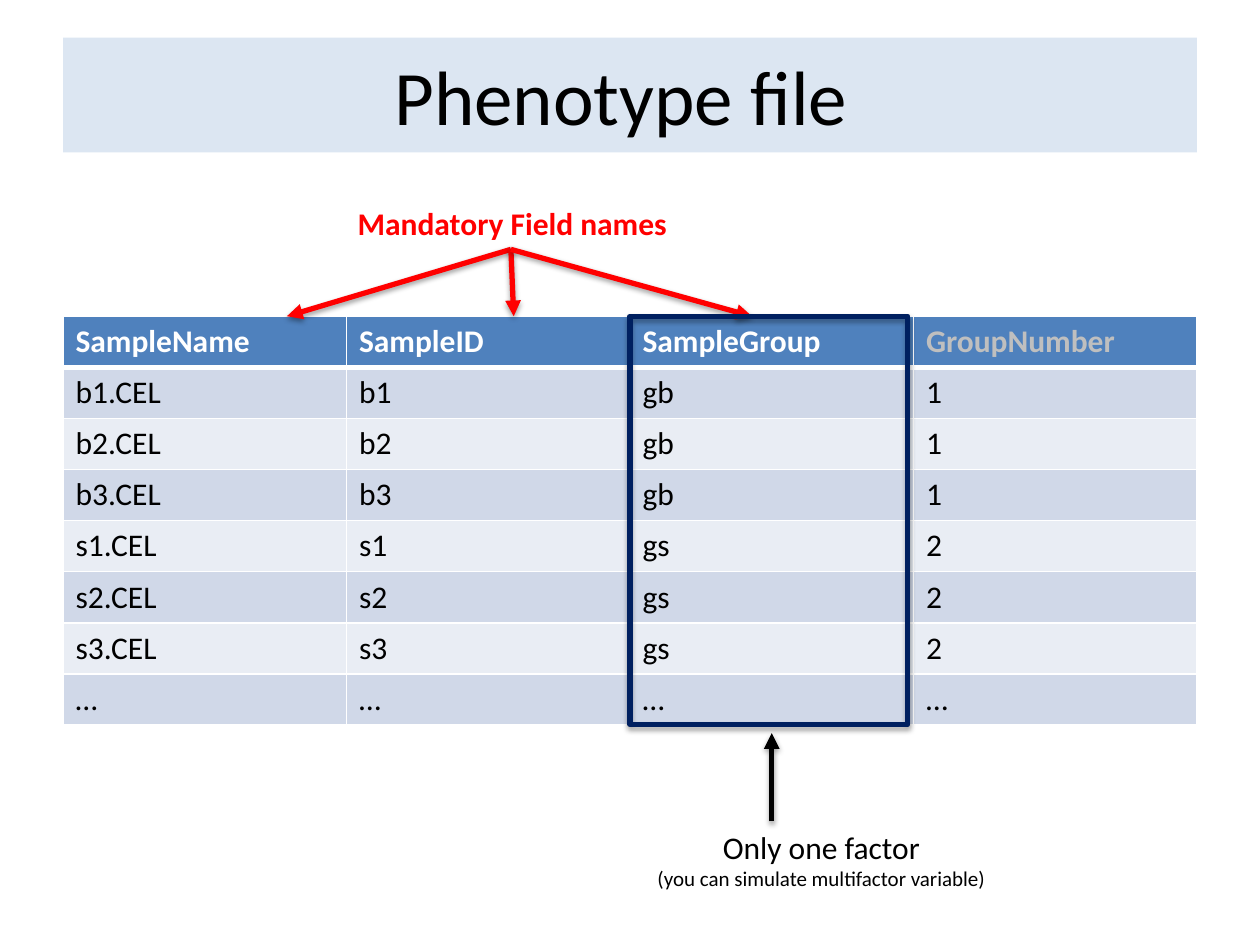
from dataclasses import dataclass

from lxml import etree
from pptx import Presentation
from pptx.dml.color import RGBColor
from pptx.enum.shapes import MSO_CONNECTOR, MSO_SHAPE
from pptx.enum.text import MSO_ANCHOR, PP_ALIGN
from pptx.oxml.ns import qn
from pptx.util import Inches, Pt

CENTER = PP_ALIGN.CENTER
MIDDLE = MSO_ANCHOR.MIDDLE
STRAIGHT = MSO_CONNECTOR.STRAIGHT
RECTANGLE = MSO_SHAPE.RECTANGLE
TITLE_ONLY = 5


@dataclass(frozen=True)
class Theme:
    font: str = "Calibri"
    title_size: int = 44
    body_size: int = 18
    note_size: int = 12
    line_width: int = 3
    border_width: int = 1
    ink: str = "000000"
    white: str = "FFFFFF"
    muted: str = "BFBFBF"
    banner: str = "DCE6F2"
    header: str = "4F81BD"
    bands: tuple = ("D0D8E8", "E9EDF4")
    alert: str = "FF0000"
    frame: str = "002060"


class Page:
    LEFT, TOP = 0.5, 2.51
    COLUMN, ROW = 2.25, 0.405

    def __init__(self, deck, theme):
        self.theme = theme
        self.slide = deck.slides.add_slide(deck.slide_layouts[TITLE_ONLY])

    def point(self, column, row):
        return (Inches(self.LEFT + column * self.COLUMN),
                Inches(self.TOP + row * self.ROW))

    def area(self, column, row, columns, rows):
        return (*self.point(column, row),
                Inches(columns * self.COLUMN), Inches(rows * self.ROW))

    def style(self, para, size, color, bold=False):
        font = para.font
        font.name, font.size, font.bold = self.theme.font, Pt(size), bold
        font.color.rgb = RGBColor.from_string(color)

    def paint(self, fill, color):
        fill.solid()
        fill.fore_color.rgb = RGBColor.from_string(color)

    def stroke(self, line, color):
        line.color.rgb = RGBColor.from_string(color)
        line.width = Pt(self.theme.line_width)

    def title(self, text, *area):
        box = self.slide.shapes.title
        box.left, box.top, box.width, box.height = self.area(*area)
        self.paint(box.fill, self.theme.banner)
        box.text_frame.text = text
        box.text_frame.vertical_anchor = MIDDLE
        para = box.text_frame.paragraphs[0]
        para.alignment = CENTER
        self.style(para, self.theme.title_size, self.theme.ink)

    def border(self, cell, side, width):
        properties = cell._tc.get_or_add_tcPr()
        line = etree.SubElement(properties, qn(f"a:ln{side}"), w=str(Pt(width)))
        fill = etree.SubElement(line, qn("a:solidFill"))
        etree.SubElement(fill, qn("a:srgbClr"), val=self.theme.white)

    def table(self, records, muted_column):
        theme = self.theme
        rows, columns = len(records), len(records[0])
        table = self.slide.shapes.add_table(
            rows, columns, *self.area(0, 0, columns, rows)).table
        for row, record in enumerate(records):
            for column, value in enumerate(record):
                cell = table.cell(row, column)
                cell.text = value
                heading = row == 0
                rules = {side: theme.border_width for side in "LRTB"}
                if heading:
                    rules["B"] = theme.line_width
                    color = theme.muted if column == muted_column else theme.white
                    fill = theme.header
                else:
                    if row == 1:
                        rules["T"] = theme.line_width
                    color, fill = theme.ink, theme.bands[(row - 1) % 2]
                for side, width in rules.items():
                    self.border(cell, side, width)
                self.paint(cell.fill, fill)
                self.style(cell.text_frame.paragraphs[0], theme.body_size, color, heading)

    def label(self, lines, color, *area, bold=False):
        frame = self.slide.shapes.add_textbox(*self.area(*area)).text_frame
        frame.word_wrap = True
        frame.text = "\n".join(text for text, size in lines)
        for para, (text, size) in zip(frame.paragraphs, lines):
            para.alignment = CENTER
            self.style(para, size, color, bold)

    def arrow(self, start, end, color):
        arrow = self.slide.shapes.add_connector(
            STRAIGHT, *self.point(*start), *self.point(*end))
        self.stroke(arrow.line, color)
        etree.SubElement(arrow.line._get_or_add_ln(), qn("a:tailEnd"), type="triangle")

    def outline(self, color, *area):
        box = self.slide.shapes.add_shape(RECTANGLE, *self.area(*area))
        box.fill.background()
        self.stroke(box.line, color)


def main():
    theme = Theme()
    deck = Presentation()
    deck.slide_width, deck.slide_height = Inches(10), Inches(7.5)
    page = Page(deck, theme)

    page.title("Phenotype file ", 0, -5.46, 4, 2.25)

    samples = [(f"{kind}{index}.CEL", f"{kind}{index}", f"g{kind}", number)
               for kind, number in (("b", "1"), ("s", "2"))
               for index in (1, 2, 3)]
    fields = ("SampleName", "SampleID", "SampleGroup", "GroupNumber")
    page.table([fields, *samples, ("…",) * 4], muted_column=3)

    page.label([("Mandatory Field names", theme.body_size)], theme.alert,
               0.37, -2.32, 2.43, 1, bold=True)
    for target in (0.79, 1.59, 2.43):
        page.arrow((1.58, -1.31), (target, 0), theme.alert)

    page.outline(theme.frame, 2, 0, 0.98, 8)
    page.arrow((2.5, 9.9), (2.5, 8.17), theme.ink)
    page.label([("Only one factor", theme.body_size),
                ("(you can simulate multifactor variable)", theme.note_size)],
               theme.ink, 1.62, 9.9, 2.11, 1.5)

    deck.save("out.pptx")


if __name__ == "__main__":
    main()
